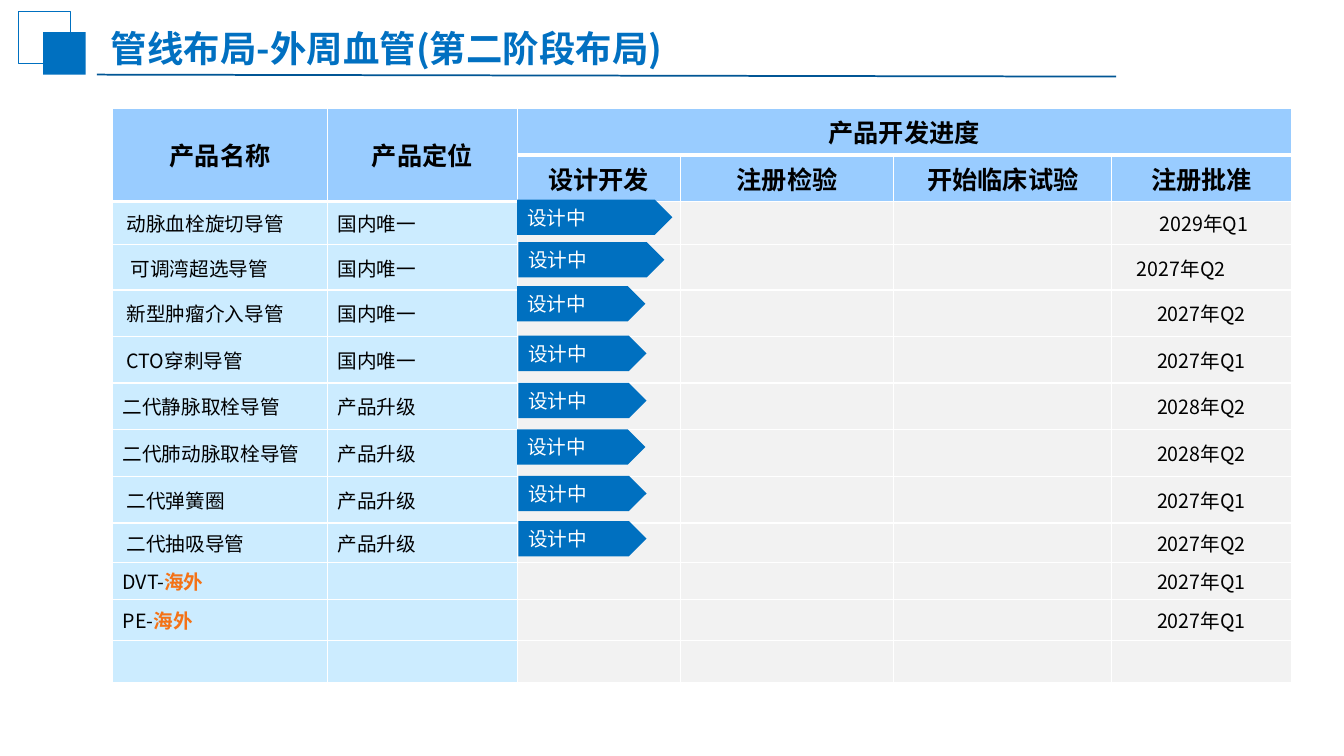
from lxml import etree
from pptx import Presentation
from pptx.dml.color import RGBColor
from pptx.enum.shapes import MSO_CONNECTOR, MSO_SHAPE
from pptx.enum.text import MSO_ANCHOR, MSO_AUTO_SIZE, PP_ALIGN
from pptx.oxml import parse_xml
from pptx.oxml.ns import qn
from pptx.util import Cm, Pt

RECT, ARROW = MSO_SHAPE.RECTANGLE, MSO_SHAPE.PENTAGON
MIDDLE, TOP = MSO_ANCHOR.MIDDLE, MSO_ANCHOR.TOP
LEFT, CENTER = PP_ALIGN.LEFT, PP_ALIGN.CENTER
CJK = "Noto Sans CJK SC"
BLUE, ORANGE, BLACK, WHITE = "0070C0", "F47216", "000000", "FFFFFF"
HEADER, NAME_FILL, STAGE_FILL = "99CCFF", "CCECFF", "F2F2F2"
NS = "http://schemas.openxmlformats.org/drawingml/2006/main"


def rgb(value):
    return RGBColor.from_string(value)


def add_text(p, text, size=14, font=CJK, color=BLACK, bold=False, align=LEFT):
    p.alignment = align
    r = p.add_run()
    r.text = text
    r.font.size, r.font.bold, r.font.name = Pt(size), bold, font
    r.font.color.rgb = rgb(color)
    etree.SubElement(r.font._element, qn("a:ea"), typeface=CJK)


prs = Presentation()
prs.slide_width, prs.slide_height = Cm(33.86), Cm(19.05)
s = prs.slides.add_slide(prs.slide_layouts[5])

# Title and its decoration
title = s.shapes.title
title.left, title.top, title.width, title.height = Cm(2.54), Cm(0.1), Cm(24.28), Cm(1.8)
tf = title.text_frame
tf.auto_size, tf.vertical_anchor = MSO_AUTO_SIZE.NONE, MIDDLE
p = tf.paragraphs[0]
p.line_spacing = 1.4
add_text(p, "管线布局-外周血管(第二阶段布局)", size=26, color="0170C1", bold=True)

rule = s.shapes.add_connector(MSO_CONNECTOR.STRAIGHT, Cm(2.44), Cm(1.88), Cm(28.12), Cm(1.93))
rule.line.color.rgb, rule.line.width = rgb("015695"), Pt(1.25)
etree.SubElement(rule._element.spPr, qn("a:effectLst"))

outline = s.shapes.add_shape(RECT, Cm(0.46), Cm(0.28), Cm(1.32), Cm(1.32))
outline.shadow.inherit = False
outline.fill.background()
outline.line.color.rgb, outline.line.width = rgb(BLUE), Pt(0.75)

block = s.shapes.add_shape(RECT, Cm(1.09), Cm(0.81), Cm(1.07), Cm(1.07))
block.shadow.inherit = False
block.fill.solid()
block.fill.fore_color.rgb = rgb(BLUE)
block.line.fill.background()

# Pipeline table
stages = ["设计开发", "注册检验", "开始临床试验", "注册批准"]
only, upgrade = "国内唯一", "产品升级"
# name, orange suffix, name indent (cm), positioning, approval date
products = [
    ("动脉血栓旋切导管", "", 0.1, only, "2029年Q1"),
    ("可调湾超选导管", "", 0.2, only, "2027年Q2"),
    ("新型肿瘤介入导管", "", 0.1, only, "2027年Q2"),
    ("CTO穿刺导管", "", 0.1, only, "2027年Q1"),
    ("二代静脉取栓导管", "", 0, upgrade, "2028年Q2"),
    ("二代肺动脉取栓导管", "", 0, upgrade, "2028年Q2"),
    ("二代弹簧圈", "", 0.1, upgrade, "2027年Q1"),
    ("二代抽吸导管", "", 0.1, upgrade, "2027年Q2"),
    ("DVT-", "海外", 0, "", "2027年Q1"),
    ("PE-", "海外", 0, "", "2027年Q1"),
]
col_widths = [5.41, 4.78, 4.11, 5.38, 5.49, 4.52]
row_heights = [1.09, 1.09, 1.09, 1.14, 1.17, 1.17, 1.17, 1.19, 1.17, 0.99, 0.94, 1.04, 1.04]
frame = s.shapes.add_table(len(row_heights), len(col_widths), Cm(2.84), Cm(2.72),
                           Cm(sum(col_widths)), Cm(sum(row_heights)))
table = frame.table
table.first_row = table.horz_banding = False
for column, width in zip(table.columns, col_widths):
    column.width = Cm(width)
for row, height in zip(table.rows, row_heights):
    row.height = Cm(height)

# The thick rule lies under the first header row and under the two tall headers
thick_below = {(0, c) for c in range(6)} | {(1, 0), (1, 1)}
for r in range(len(row_heights)):
    for c in range(len(col_widths)):
        cell = table.cell(r, c)
        cell.vertical_anchor = TOP if r < 2 and c > 1 else MIDDLE
        cell.margin_top = cell.margin_bottom = 0
        tcPr = cell._tc.get_or_add_tcPr()
        widths = {"L": 1, "R": 1,
                  "T": 3 if (r - 1, c) in thick_below else 1,
                  "B": 3 if (r, c) in thick_below else 1}
        for side, width in widths.items():
            tcPr.append(parse_xml(
                f'<a:ln{side} xmlns:a="{NS}" w="{Pt(width)}"><a:solidFill>'
                f'<a:srgbClr val="{WHITE}"/></a:solidFill></a:ln{side}>'))
        cell.fill.solid()
        cell.fill.fore_color.rgb = rgb(HEADER if r < 2 else NAME_FILL if c < 2 else STAGE_FILL)

table.cell(0, 0).merge(table.cell(1, 0))
table.cell(0, 1).merge(table.cell(1, 1))
table.cell(0, 2).merge(table.cell(0, 5))
headers = [(0, 0, "产品名称"), (0, 1, "产品定位"), (0, 2, "产品开发进度")]
headers += [(1, c, stage) for c, stage in enumerate(stages, 2)]
for r, c, text in headers:
    cell = table.cell(r, c)
    cell.margin_top = cell.margin_bottom = Cm(0.13)
    add_text(cell.text_frame.paragraphs[0], text, size=18, bold=True, align=CENTER)

for r, (name, suffix, indent, position, date) in enumerate(products, 2):
    name_cell = table.cell(r, 0)
    name_cell.margin_left = Cm(0.25 + indent)
    p = name_cell.text_frame.paragraphs[0]
    add_text(p, name)
    if suffix:
        add_text(p, suffix, color=ORANGE, bold=True)
    if position:
        add_text(table.cell(r, 1).text_frame.paragraphs[0], position)
    add_text(table.cell(r, 5).text_frame.paragraphs[0], date, align=CENTER)
table.cell(2, 5).margin_left = Cm(0.37)
table.cell(3, 5).margin_right = Cm(1.27)

# Progress arrows: left, top, width
arrows = [(13.03, 5.03, 3.91), (13.06, 6.1, 3.68), (13.03, 7.21, 3.23), (13.06, 8.46, 3.23),
          (13.06, 9.65, 3.23), (13.03, 10.82, 3.23), (13.06, 11.99, 3.23), (13.06, 13.13, 3.23)]
for left, top, width in arrows:
    sp = s.shapes.add_shape(ARROW, Cm(left), Cm(top), Cm(width), Cm(0.89))
    sp.shadow.inherit = False
    sp.fill.solid()
    sp.fill.fore_color.rgb = rgb(BLUE)
    sp.line.fill.background()
    sp.text_frame.vertical_anchor = MIDDLE
    add_text(sp.text_frame.paragraphs[0], "设计中", font="Arial", color=WHITE)

prs.save("out.pptx")
